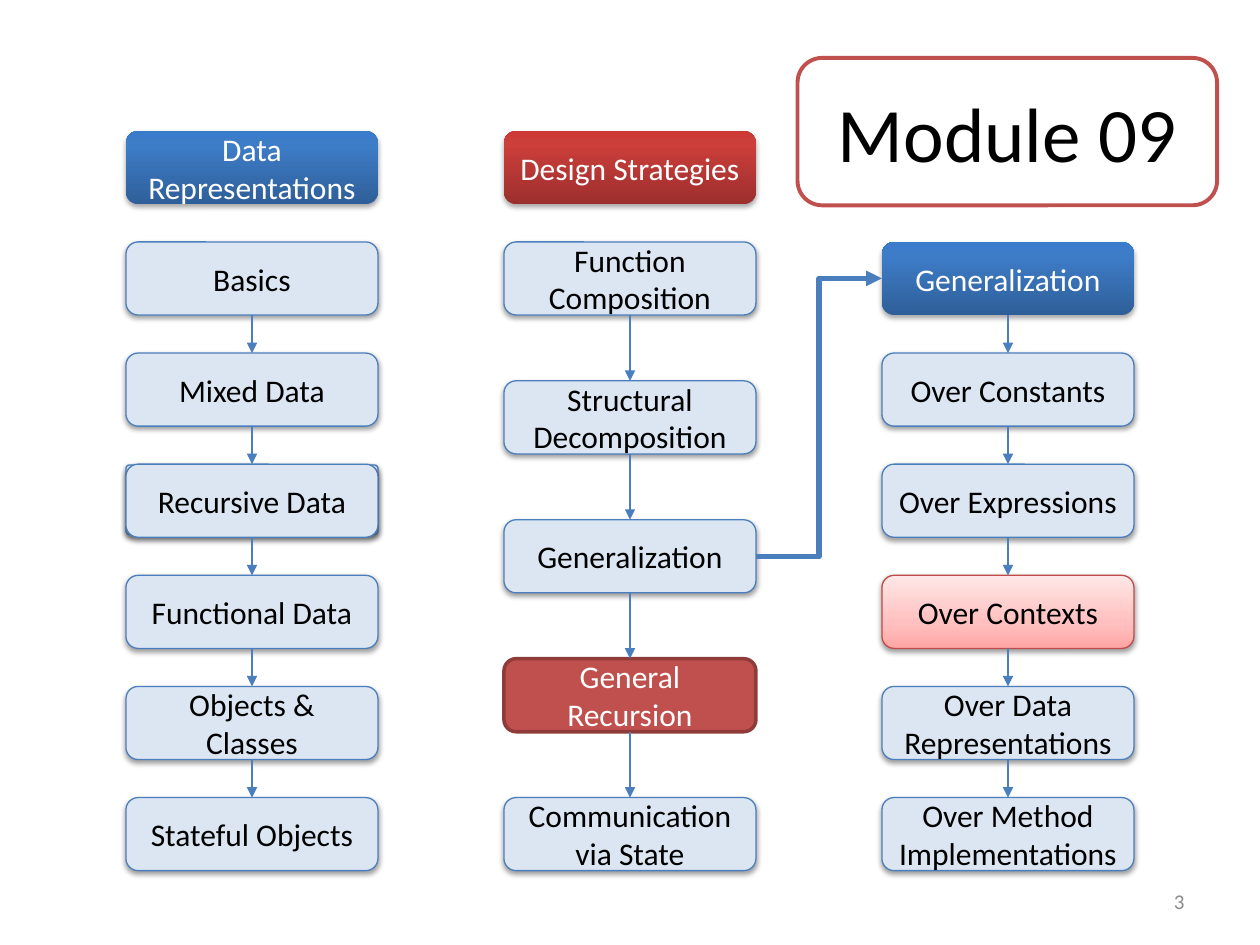
from copy import deepcopy
from dataclasses import dataclass

from lxml import etree
from pptx import Presentation
from pptx.dml.color import RGBColor
from pptx.enum.shapes import MSO_CONNECTOR, MSO_SHAPE
from pptx.enum.text import MSO_ANCHOR, PP_ALIGN
from pptx.oxml.ns import qn
from pptx.util import Inches, Pt

ROUNDED = MSO_SHAPE.ROUNDED_RECTANGLE
STRAIGHT, ELBOW = MSO_CONNECTOR.STRAIGHT, MSO_CONNECTOR.ELBOW
MIDDLE = MSO_ANCHOR.MIDDLE
CENTER, RIGHT = PP_ALIGN.CENTER, PP_ALIGN.RIGHT

FONT = "Calibri"
BLUE = "4B7EBC"
BOX_WIDTH, BOX_HEIGHT = 2, 0.58
HEADER_TOP, FIRST_TOP, LAST_TOP = 1.04, 1.92, 6.33


@dataclass(frozen=True)
class Style:
    fill: tuple[tuple[int, str], ...] = ((0, "DCE6F2"),)
    line: str | None = BLUE
    line_width: float = 0.75
    text: str = "000000"
    size: int = 18
    shadow_alpha: int = 38
    shadow_distance: float = 1.6


@dataclass(frozen=True)
class Box:
    text: str
    style: Style = Style()


@dataclass(frozen=True)
class Column:
    left: float
    boxes: tuple[Box, ...]
    first_arrow: int = 0
    header: Box | None = None

    @property
    def pitch(self) -> float:
        return (LAST_TOP - FIRST_TOP) / (len(self.boxes) - 1)


PLAIN = Style()
BLUE_HEADER = Style(((0, "2F5F99"), (80, "3D7CC7"), (100, "3A7CCB")), None,
                    text="FFFFFF", shadow_alpha=35, shadow_distance=1.8)
RED_HEADER = Style(((0, "9C2F2D"), (80, "CB3E3A"), (100, "CE3B37")), None,
                   text="FFFFFF", shadow_alpha=35, shadow_distance=1.8)
PINK = Style(((0, "FFA6A5"), (35, "FFC0BF"), (100, "FFE7E7")), "BF4C48")
CURRENT = Style(((0, "C0504D"),), "8E3B39", 2, "FFFFFF", shadow_alpha=0)
TITLE = Style((), "C0504D", 2.25, size=44, shadow_alpha=0)

COLUMNS = (
    Column(7, (
        Box("Generalization", BLUE_HEADER),
        Box("Over Constants"),
        Box("Over Expressions"),
        Box("Over Contexts", PINK),
        Box("Over Data Representations"),
        Box("Over Method Implementations"),
    )),
    Column(1, (
        Box("Basics"),
        Box("Mixed Data"),
        Box("Recursive Data"),
        Box("Functional Data"),
        Box("Objects & Classes"),
        Box("Stateful Objects"),
    ), header=Box("Data Representations", BLUE_HEADER)),
    Column(4, (
        Box("Function Composition"),
        Box("Structural Decomposition"),
        Box("Generalization"),
        Box("General Recursion", CURRENT),
        Box("Communication via State"),
    ), header=Box("Design Strategies", RED_HEADER)),
)


def color(value: str) -> RGBColor:
    return RGBColor.from_string(value)


def write_text(shape, text: str, size: int, text_color: str, alignment) -> None:
    frame = shape.text_frame
    frame.word_wrap = True
    frame.vertical_anchor = MIDDLE
    paragraph = frame.paragraphs[0]
    paragraph.text = text
    paragraph.alignment = alignment
    paragraph.font.name = FONT
    paragraph.font.size = Pt(size)
    paragraph.font.color.rgb = color(text_color)


def fill_shape(shape, stops: tuple[tuple[int, str], ...]) -> None:
    if not stops:
        shape.fill.background()
    elif len(stops) == 1:
        shape.fill.solid()
        shape.fill.fore_color.rgb = color(stops[0][1])
    else:
        shape.fill.gradient()
        shape.fill.gradient_angle = 90
        stop_list = shape._element.spPr.find(".//" + qn("a:gsLst"))
        stop_list.append(deepcopy(stop_list[0]))
        for stop, (position, value) in zip(shape.fill.gradient_stops, stops):
            stop.position = position / 100
            stop.color.rgb = color(value)


def add_shadow(shape, alpha: int, distance: float) -> None:
    effects = shape._element.spPr.find(qn("a:effectLst"))
    shadow = etree.SubElement(
        effects, qn("a:outerShdw"), blurRad=str(Pt(3.1)),
        dist=str(Pt(distance)), dir="5400000", rotWithShape="0")
    shade = etree.SubElement(shadow, qn("a:srgbClr"), val="000000")
    etree.SubElement(shade, qn("a:alpha"), val=str(alpha * 1000))


def add_box(slide, box: Box, left: float, top: float,
            width: float = BOX_WIDTH, height: float = BOX_HEIGHT):
    style = box.style
    shape = slide.shapes.add_shape(
        ROUNDED, Inches(left), Inches(top), Inches(width), Inches(height))
    shape.shadow.inherit = False
    fill_shape(shape, style.fill)
    if style.line:
        shape.line.color.rgb = color(style.line)
        shape.line.width = Pt(style.line_width)
    else:
        shape.line.fill.background()
    if style.shadow_alpha:
        add_shadow(shape, style.shadow_alpha, style.shadow_distance)
    if box.text:
        write_text(shape, box.text, style.size, style.text, CENTER)
    return shape


def add_arrow(slide, kind, start: tuple[float, float],
              end: tuple[float, float], width: float = 0.75) -> None:
    arrow = slide.shapes.add_connector(
        kind, *(Inches(length) for length in (*start, *end)))
    arrow.line.color.rgb = color(BLUE)
    arrow.line.width = Pt(width)
    etree.SubElement(arrow.line._get_or_add_ln(), qn("a:tailEnd"), type="triangle")
    etree.SubElement(arrow._element.spPr, qn("a:effectLst"))


def add_column(slide, column: Column) -> None:
    if column.header:
        add_box(slide, column.header, column.left, HEADER_TOP)
    center = column.left + BOX_WIDTH / 2
    for index, box in enumerate(column.boxes):
        top = FIRST_TOP + index * column.pitch
        add_box(slide, box, column.left, top)
        if index:
            previous_bottom = top - column.pitch + BOX_HEIGHT
            add_arrow(slide, STRAIGHT, (center, previous_bottom), (center, top))


def main() -> None:
    presentation = Presentation()
    presentation.slide_width = Inches(10)
    presentation.slide_height = Inches(7.5)
    slide = presentation.slides.add_slide(presentation.slide_layouts[6])

    backing = add_box(slide, Box(""), 1, 3.69, height=0.55)
    backing.adjustments[0] = 0.047
    for column in COLUMNS:
        add_column(slide, column)
    add_box(slide, Box("Module 09", TITLE), 6.33, 0.46, 3.33, 1.17)
    add_arrow(slide, ELBOW, (6, 4.42), (7, 2.21), 3)

    number = slide.shapes.add_textbox(
        Inches(7.17), Inches(6.95), Inches(2.33), Inches(0.4))
    write_text(number, "3", 12, "8C8C8C", RIGHT)
    presentation.save("out.pptx")


if __name__ == "__main__":
    main()
